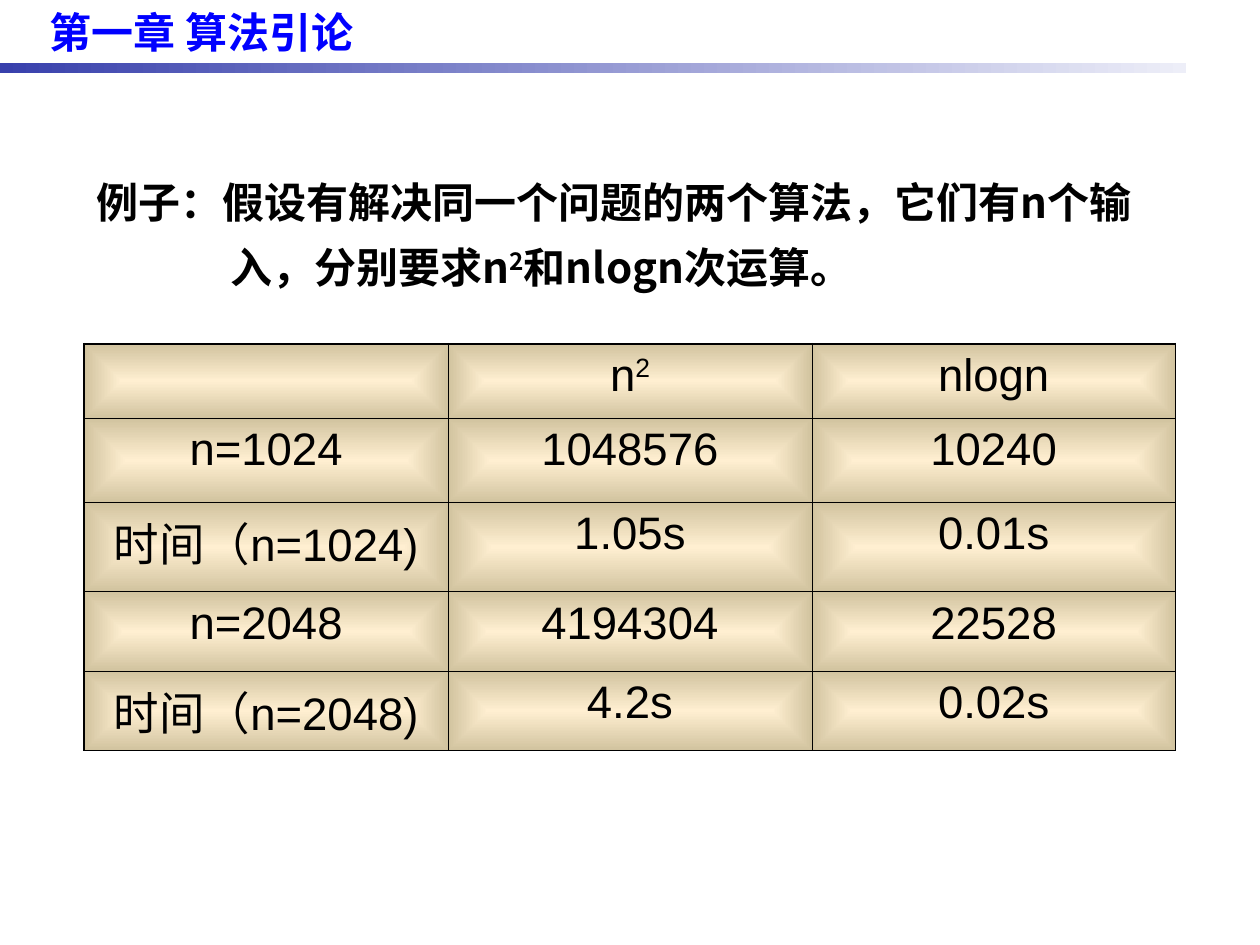
import pptx
import pptx.dml.color
import pptx.enum.shapes
import pptx.enum.text
import pptx.oxml
import pptx.oxml.ns
import pptx.util
from lxml import etree

Cm = pptx.util.Cm
Pt = pptx.util.Pt
RGBColor = pptx.dml.color.RGBColor
Align = pptx.enum.text.PP_ALIGN

BLUE = RGBColor(0x00, 0x00, 0xFF)
BLACK = RGBColor(0x00, 0x00, 0x00)
BAR_START = RGBColor(0x38, 0x40, 0xAC)
BAR_END = RGBColor(0xED, 0xEE, 0xF8)
CELL_CENTRE = RGBColor(0xFF, 0xEF, 0xD1)
CELL_EDGE = RGBColor(0xD1, 0xC3, 0x9F)

CHINESE_FONT = "Noto Sans CJK SC"
NAMESPACE = pptx.oxml.ns.nsdecls("a")
THIN, THICK = 0.45, 1.08

ROWS = [
    ["", [("n", False), ("2", True)], "nlogn"],
    ["n=1024", "1048576", "10240"],
    ["时间（n=1024)", "1.05s", "0.01s"],
    ["n=2048", "4194304", "22528"],
    ["时间（n=2048)", "4.2s", "0.02s"],
]
ROW_HEIGHTS = [1.5, 1.7, 1.8, 1.6, 1.6]


def write_text(frame, content, font="Arial", size=24, color=BLACK, bold=False,
               align=Align.LEFT, line_spacing=None, hanging=0):
    """Fill the first paragraph; content is a string or (text, superscript) pairs."""
    para = frame.paragraphs[0]
    para.alignment = align
    if line_spacing:
        para.line_spacing = line_spacing
    if hanging:
        properties = para._p.get_or_add_pPr()
        properties.set("marL", str(Cm(hanging)))
        properties.set("indent", str(-Cm(hanging)))
    pairs = [(content, False)] if isinstance(content, str) else content
    for text, superscript in pairs:
        span = para.add_run()
        span.text = text
        span.font.name = font
        span.font.size = Pt(size)
        span.font.bold = bold
        span.font.color.rgb = color
        properties = span._r.get_or_add_rPr()
        if superscript:
            properties.set("baseline", "30000")
        east_asian = etree.SubElement(properties, pptx.oxml.ns.qn("a:ea"))
        east_asian.set("typeface", CHINESE_FONT)


class SlideBuilder:
    def __init__(self, deck):
        self.page = deck.slides.add_slide(deck.slide_layouts[5])

    def title(self, text, left, top, width, height):
        box = self.page.shapes.title
        box.left, box.top, box.width, box.height = Cm(left), Cm(top), Cm(width), Cm(height)
        frame = box.text_frame
        frame.auto_size = pptx.enum.text.MSO_AUTO_SIZE.NONE
        frame.vertical_anchor = pptx.enum.text.MSO_ANCHOR.TOP
        write_text(frame, text, font="Times New Roman", color=BLUE, bold=True,
                   align=Align.CENTER)

    def gradient_bar(self, left, top, width, height):
        bar = self.page.shapes.add_shape(pptx.enum.shapes.MSO_SHAPE.RECTANGLE,
                                         Cm(left), Cm(top), Cm(width), Cm(height))
        bar.shadow.inherit = False
        bar.line.fill.background()
        bar.fill.gradient()
        bar.fill.gradient_angle = 0
        for stop, color, position in zip(bar.fill.gradient_stops,
                                         (BAR_START, BAR_END), (0, 1)):
            stop.color.rgb = color
            stop.position = position

    def paragraph(self, content, left, top, width, height, **style):
        box = self.page.shapes.add_textbox(Cm(left), Cm(top), Cm(width), Cm(height))
        box.text_frame.word_wrap = True
        write_text(box.text_frame, content, **style)

    def table(self, rows, heights, left, top, width):
        columns = len(rows[0])
        grid = self.page.shapes.add_table(len(rows), columns, Cm(left), Cm(top),
                                          Cm(width), Cm(sum(heights))).table
        grid.first_row = grid.horz_banding = False
        for row, height in zip(grid.rows, heights):
            row.height = Cm(height)
        for r, row in enumerate(rows):
            for c, content in enumerate(row):
                cell = grid.cell(r, c)
                if content:
                    write_text(cell.text_frame, content, size=26, align=Align.CENTER)
                outer = {"L": c == 0, "R": c == columns - 1,
                         "T": r == 0, "B": r == len(rows) - 1}
                self.decorate_cell(cell, outer)

    def decorate_cell(self, cell, outer):
        """Add borders, thick on the outer sides, and a fill that darkens to the edges."""
        properties = cell._tc.get_or_add_tcPr()
        for side, is_outer in outer.items():
            width = Pt(THICK if is_outer else THIN)
            properties.append(pptx.oxml.parse_xml(
                f'<a:ln{side} {NAMESPACE} w="{width}"><a:solidFill>'
                f'<a:srgbClr val="{BLACK}"/></a:solidFill></a:ln{side}>'))
        properties.append(pptx.oxml.parse_xml(
            f'<a:gradFill {NAMESPACE}><a:gsLst>'
            f'<a:gs pos="0"><a:srgbClr val="{CELL_CENTRE}"/></a:gs>'
            f'<a:gs pos="100000"><a:srgbClr val="{CELL_EDGE}"/></a:gs></a:gsLst>'
            '<a:path path="rect"><a:fillToRect l="50000" t="50000" r="50000" b="50000"/>'
            '</a:path></a:gradFill>'))


def main():
    deck = pptx.Presentation()
    deck.slide_width, deck.slide_height = Cm(25.4), Cm(19.05)
    slide = SlideBuilder(deck)
    slide.gradient_bar(0, 1.27, 23.92, 0.2)
    slide.title("第一章 算法引论", -0.5, 0, 9.12, 1.27)
    slide.table(ROWS, ROW_HEIGHTS, 1.7, 6.93, 22)
    example = [("例子：假设有解决同一个问题的两个算法，它们有n个输入，分别要求n", False),
               ("2", True), ("和nlogn次运算。", False)]
    slide.paragraph(example, 1.7, 3.12, 22, 2.9, font=CHINESE_FONT, bold=True,
                    line_spacing=1.3, hanging=2.7)
    deck.save("out.pptx")


if __name__ == "__main__":
    main()
